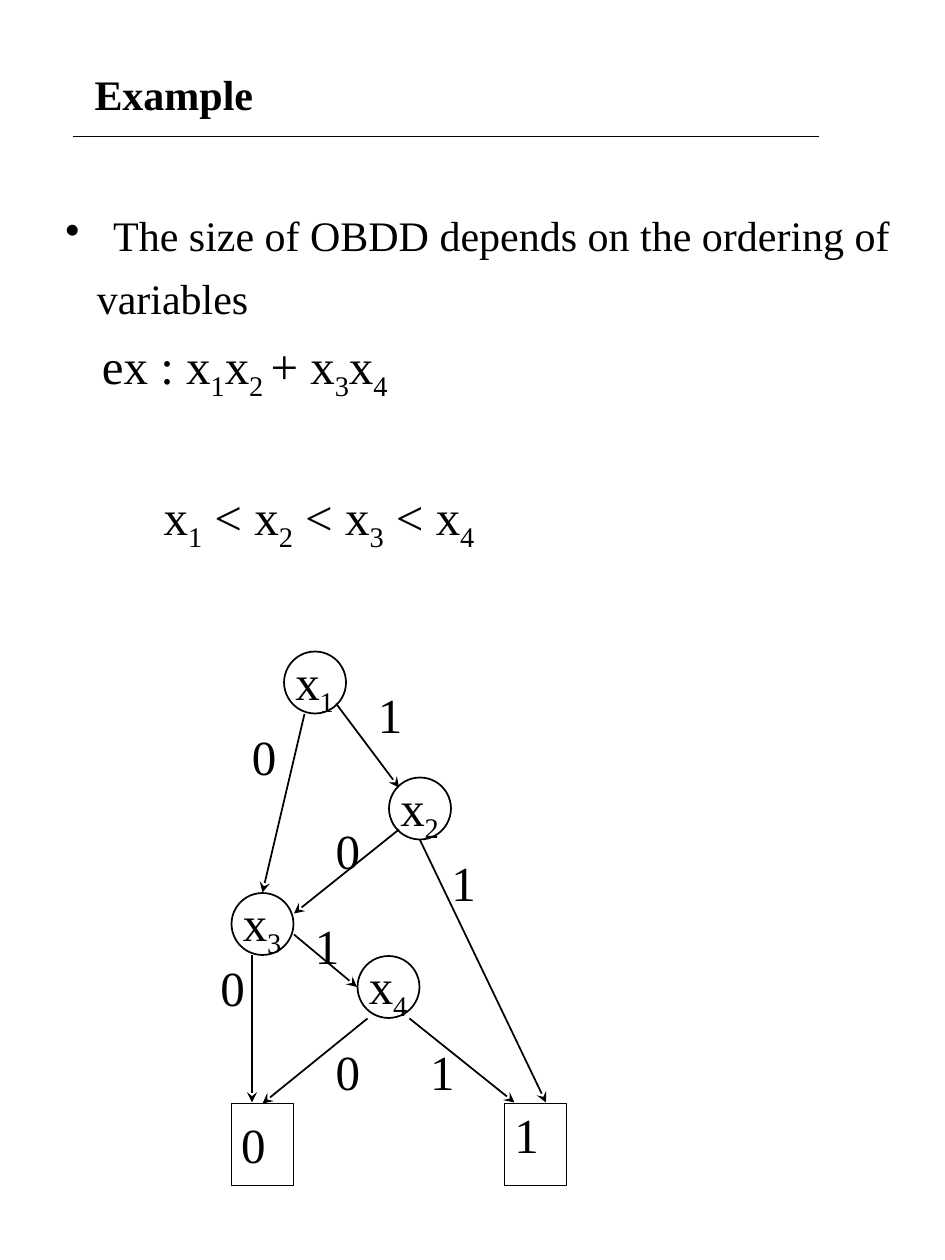
"""Build the OBDD variable-ordering slide on a grid of 90 columns by 120 rows."""
from dataclasses import dataclass
from typing import Optional

import pptx
import pptx.dml.color
import pptx.enum.shapes
import pptx.enum.text
import pptx.oxml
import pptx.oxml.ns
import pptx.util
from pptx.enum.shapes import MSO_CONNECTOR, MSO_SHAPE

BLACK = pptx.dml.color.RGBColor(0, 0, 0)
WHITE = pptx.dml.color.RGBColor(255, 255, 255)
FONT = "Times New Roman"
COLUMNS, ROWS = 90, 120
NODE_SIZE = 5.9
LEAF_HEIGHT = 7.8


@dataclass(frozen=True)
class Node:
    name: str
    column: float
    row: float


@dataclass(frozen=True)
class Label:
    runs: tuple[str, ...]
    column: float
    row: float
    width: float = 4.8
    height: float = 6.84


@dataclass(frozen=True)
class Edge:
    start: tuple[float, float]
    end: tuple[float, float]
    leaf: Optional[str] = None


@dataclass(frozen=True)
class Line:
    runs: tuple[str, ...]
    size: float
    before: float
    margin: float
    bullet: bool = False


VARIABLES = [Node("1", 30, 65), Node("2", 40, 77), Node("3", 25, 88), Node("4", 37, 94)]
LEAVES = [Node("0", 25, 109), Node("1", 51, 109)]
EDGES = [
    Edge((29, 68), (25, 85)),
    Edge((32, 67), (38, 75)),
    Edge((38, 79), (28, 87)),
    Edge((40, 80), (52, 105)),
    Edge((24, 91), (24, 105)),
    Edge((28, 89), (34, 94)),
    Edge((35, 97), (25, 105), leaf="0"),
    Edge((39, 97), (49, 105)),
]
VALUES = [
    Label(("0",), 24.2, 109), Label(("1",), 50.2, 108),
    Label(("0",), 25.2, 72), Label(("1",), 37.2, 68),
    Label(("0",), 33.2, 81), Label(("1",), 44.2, 84),
    Label(("0",), 22.2, 94), Label(("1",), 31.2, 90),
    Label(("0",), 33.2, 102), Label(("1",), 42.2, 102),
]
BODY = [
    Line(("The size of OBDD depends on the ordering of",), 24, 0, 0.38, bullet=True),
    Line(("variables",), 24, 7, 0.25),
    Line(("ex : x", "1", "x", "2 ", "+ x", "3", "x", "4"), 28, 7, 0.29),
    Line(("x", "1", " < x", "2", " < x", "3", " < x", "4"), 28, 48, 0.78),
]


def cells(count: float) -> int:
    """Turn a count of grid cells, twelve to the inch, into a length."""
    return pptx.util.Inches(count / 12)


def centred(column: float, row: float, width: float, height: float) -> tuple[int, ...]:
    """Give left, top, width and height of a box around a grid point."""
    return tuple(map(cells, (column - width / 2, row - height / 2, width, height)))


def add_runs(paragraph, runs: tuple[str, ...], size: float, bold: bool = False) -> None:
    """Add runs in which every second one is a subscript."""
    for index, text in enumerate(runs):
        run = paragraph.add_run()
        run.text = text
        run.font.name = FONT
        run.font.size = pptx.util.Pt(size)
        run.font.bold = bold
        run.font.color.rgb = BLACK
        if index % 2:
            run.font._element.set("baseline", "-25000")


def set_indent(paragraph, margin: float, first: float = 0) -> None:
    """Set the left margin and first-line indent in inches."""
    properties = paragraph._p.get_or_add_pPr()
    properties.set("marL", str(pptx.util.Inches(margin)))
    properties.set("indent", str(pptx.util.Inches(first)))


def add_title(slide) -> None:
    """Place the title and the rule below it."""
    title = slide.shapes.title
    title.left, title.top, title.width, title.height = map(cells, (5.76, 3.72, 76.2, 10.32))
    title.text_frame.vertical_anchor = pptx.enum.text.MSO_ANCHOR.MIDDLE
    heading = title.text_frame.paragraphs[0]
    heading.alignment = pptx.enum.text.PP_ALIGN.LEFT
    set_indent(heading, 0.17)
    add_runs(heading, ("Example",), 24, bold=True)
    add_line(slide, (7, 13), (78, 13))


def add_body(slide) -> None:
    """Write the statement, the function and the variable order."""
    frame = slide.shapes.add_textbox(*map(cells, (5.04, 19.4, 81, 36))).text_frame
    frame.word_wrap = True
    for index, line in enumerate(BODY):
        paragraph = frame.add_paragraph() if index else frame.paragraphs[0]
        set_indent(paragraph, line.margin, -line.margin if line.bullet else 0)
        paragraph.space_before = pptx.util.Pt(line.before)
        if line.bullet:
            bullet = pptx.oxml.parse_xml(f'<a:buChar {pptx.oxml.ns.nsdecls("a")} char="•"/>')
            paragraph._p.get_or_add_pPr().append(bullet)
        add_runs(paragraph, line.runs, line.size)


def add_node(slide, kind: MSO_SHAPE, node: Node, height: float):
    """Draw one white node with a black outline."""
    shape = slide.shapes.add_shape(kind, *centred(node.column, node.row, NODE_SIZE, height))
    shape.shadow.inherit = False
    shape.fill.solid()
    shape.fill.fore_color.rgb = WHITE
    shape.line.color.rgb = BLACK
    shape.line.width = pptx.util.Pt(1)
    return shape


def add_line(slide, start: tuple[float, float], end: tuple[float, float], arrow: bool = False):
    """Draw a thin black line, with an arrowhead if wanted."""
    line = slide.shapes.add_connector(MSO_CONNECTOR.STRAIGHT, *map(cells, start + end))
    line.line.color.rgb = BLACK
    line.line.width = pptx.util.Pt(1)
    namespace = pptx.oxml.ns.nsdecls("a")
    if arrow:
        head = pptx.oxml.parse_xml(f'<a:tailEnd {namespace} type="stealth"/>')
        line.line._get_or_add_ln().append(head)
    line._element.spPr.append(pptx.oxml.parse_xml(f"<a:effectLst {namespace}/>"))
    return line


def add_label(slide, label: Label) -> None:
    """Write one label around its grid point."""
    place = centred(label.column, label.row, label.width, label.height)
    frame = slide.shapes.add_textbox(*place).text_frame
    frame.word_wrap = False
    frame.auto_size = pptx.enum.text.MSO_AUTO_SIZE.SHAPE_TO_FIT_TEXT
    add_runs(frame.paragraphs[0], label.runs, 28)


def main() -> None:
    """Build and save the slide."""
    deck = pptx.Presentation()
    deck.slide_width, deck.slide_height = cells(COLUMNS), cells(ROWS)
    slide = deck.slides.add_slide(deck.slide_layouts[5])
    add_title(slide)
    add_body(slide)
    for variable in VARIABLES:
        add_node(slide, MSO_SHAPE.OVAL, variable, NODE_SIZE)
    leaves = {leaf.name: add_node(slide, MSO_SHAPE.RECTANGLE, leaf, LEAF_HEIGHT) for leaf in LEAVES}
    for edge in EDGES:
        arrow = add_line(slide, edge.start, edge.end, arrow=True)
        if edge.leaf is not None:
            arrow.end_connect(leaves[edge.leaf], 0)
    for variable in VARIABLES:
        add_label(slide, Label(("x", variable.name), variable.column, variable.row + 0.2, 6.12, 7.56))
    for value in VALUES:
        add_label(slide, value)
    deck.save("out.pptx")


if __name__ == "__main__":
    main()
